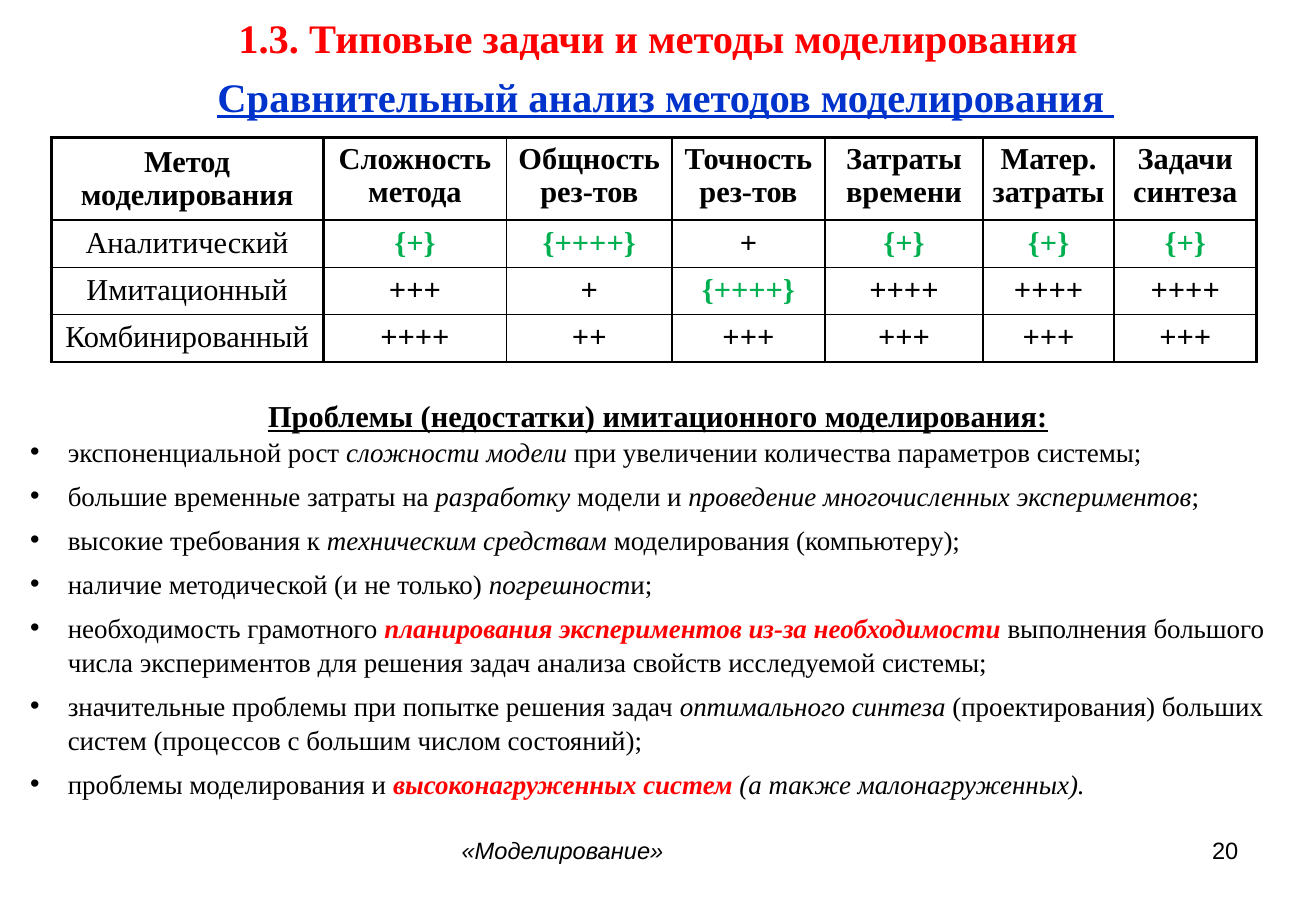
import pptx
import pptx.util
import pptx.dml.color
import pptx.enum.text
import pptx.oxml.ns
from lxml import etree
from dataclasses import dataclass

Inches = pptx.util.Inches
Pt = pptx.util.Pt
RGB = pptx.dml.color.RGBColor
Align = pptx.enum.text.PP_ALIGN
Anchor = pptx.enum.text.MSO_ANCHOR
qn = pptx.oxml.ns.qn


@dataclass(frozen=True)
class Theme:
    serif: str = "Times New Roman"
    sans: str = "Arial"
    black: str = "000000"
    red: str = "FF0000"
    blue: str = "0033CC"
    green: str = "00B050"
    title: int = 24
    head: int = 18
    body: int = 16
    foot: int = 14
    thin: int = 1
    thick: int = 2


theme = Theme()

# Run formats for the list
PLAIN = {}
ITAL = {"italic": True}
KEY = {"italic": True, "bold": True, "color": theme.red}

WIDTHS = [2.24, 1.51, 1.36, 1.26, 1.3, 1.08, 1.17]
HEIGHTS = [0.65, 0.38, 0.38, 0.38]
GRID = [
    ["Метод моделирования", "Сложность метода", "Общность рез-тов",
     "Точность рез-тов", "Затраты времени", "Матер. затраты", "Задачи синтеза"],
    ["Аналитический", "{+}", "{++++}", "+", "{+}", "{+}", "{+}"],
    ["Имитационный", "+++", "+", "{++++}", "++++", "++++", "++++"],
    ["Комбинированный", "++++", "++", "+++", "+++", "+++", "+++"],
]

ITEMS = [
    [("экспоненциальной рост ", PLAIN), ("сложности модели ", ITAL),
     ("при увеличении количества параметров системы;", PLAIN)],
    [("большие временн", PLAIN), ("ы", ITAL), ("е затраты на ", PLAIN),
     ("разработку", ITAL), (" модели и ", PLAIN),
     ("проведение многочисленных экспериментов", ITAL), (";", PLAIN)],
    [("высокие требования к ", PLAIN), ("техническим средствам ", ITAL),
     ("моделирования (компьютеру);", PLAIN)],
    [("наличие методической (и не только) ", PLAIN), ("погрешност", ITAL),
     ("и;", PLAIN)],
    [("необходимость грамотного ", PLAIN),
     ("планирования экспериментов из-за необходимости ", KEY),
     ("выполнения большого числа экспериментов для решения задач "
      "анализа свойств исследуемой системы;", PLAIN)],
    [("значительные проблемы при попытке решения задач ", PLAIN),
     ("оптимального синтеза ", ITAL),
     ("(проектирования) больших систем "
      "(процессов с большим числом состояний);", PLAIN)],
    [("проблемы моделирования и ", PLAIN), ("высоконагруженных систем", KEY),
     (" (а также малонагруженных).", ITAL)],
]


def add_run(para, text, size, color=theme.black, name=theme.serif, **style):
    run = para.add_run()
    run.text = text
    for key, value in {"name": name, "size": Pt(size), **style}.items():
        setattr(run.font, key, value)
    run.font.color.rgb = RGB.from_string(color)


def add_box(slide, left, top, width, height):
    box = slide.shapes.add_textbox(*map(Inches, (left, top, width, height)))
    box.text_frame.word_wrap = True
    return box.text_frame


def add_line(slide, place, text, size, align, **style):
    frame = add_box(slide, *place)
    para = frame.paragraphs[0]
    para.alignment = align
    add_run(para, text, size, **style)
    return frame


def add_item(frame, parts):
    para = frame.add_paragraph()
    props = para._p.get_or_add_pPr()
    props.set("marL", str(Inches(0.31)))
    props.set("indent", str(-Inches(0.31)))
    etree.SubElement(props, qn("a:buFont")).set("typeface", theme.sans)
    etree.SubElement(props, qn("a:buChar")).set("char", "•")
    para.space_after = Pt(6)
    para.line_spacing = 1.05
    for text, style in parts:
        add_run(para, text, theme.body, **style)


def add_edge(cell, side, width):
    edge = etree.SubElement(cell._tc.get_or_add_tcPr(), qn("a:ln" + side))
    edge.set("w", str(Pt(width)))
    fill = etree.SubElement(edge, qn("a:solidFill"))
    etree.SubElement(fill, qn("a:srgbClr")).set("val", theme.black)


def fill_cell(cell, text, row, col):
    # Heavy lines: outer frame and the side of the first column
    heavy = {"L": col < 2, "R": col in (0, len(WIDTHS) - 1),
             "T": row == 0, "B": row == len(HEIGHTS) - 1}
    for side, thick in heavy.items():
        add_edge(cell, side, theme.thick if thick else theme.thin)
    cell.fill.background()
    pad = 0.04 if row == 0 and col else 0.11
    form = {"margin_left": Inches(pad), "margin_right": Inches(pad),
            "margin_top": Inches(0.05 if row else 0.04),
            "margin_bottom": Inches(0.04),
            "vertical_anchor": Anchor.TOP if row or col else Anchor.MIDDLE}
    for key, value in form.items():
        setattr(cell, key, value)
    para = cell.text_frame.paragraphs[0]
    para.alignment = Align.CENTER
    color = theme.green if text.startswith("{") else theme.black
    add_run(para, text, theme.head, color, bold=row == 0 or col > 0)


def add_grid(slide):
    place = map(Inches, (0.42, 1.13, sum(WIDTHS), sum(HEIGHTS)))
    table = slide.shapes.add_table(len(GRID), len(WIDTHS), *place).table
    table.first_row = table.horz_banding = False
    for col, width in zip(table.columns, WIDTHS):
        col.width = Inches(width)
    for row, height in zip(table.rows, HEIGHTS):
        row.height = Inches(height)
    for row, texts in enumerate(GRID):
        for col, text in enumerate(texts):
            fill_cell(table.cell(row, col), text, row, col)


def main():
    deck = pptx.Presentation()
    deck.slide_width, deck.slide_height = Inches(10.83), Inches(7.5)
    slide = deck.slides.add_slide(deck.slide_layouts[6])

    # Titles
    add_line(slide, (0.21, 0.06, 10.41, 0.38),
             "1.3. Типовые задачи и методы моделирования",
             theme.title, Align.CENTER, color=theme.red, bold=True)
    add_line(slide, (0.36, 0.54, 10.24, 0.5),
             "Сравнительный анализ методов моделирования ",
             theme.title, Align.CENTER, color=theme.blue, bold=True,
             underline=True)

    # Table of methods
    add_grid(slide)

    # List of problems
    frame = add_line(slide, (0.15, 3.22, 10.53, 3.33),
                     "Проблемы (недостатки) имитационного моделирования:",
                     theme.head, Align.CENTER, bold=True, underline=True)
    for parts in ITEMS:
        add_item(frame, parts)

    # Footer
    add_line(slide, (3.7, 6.83, 3.43, 0.52), "«Моделирование»",
             theme.foot, Align.LEFT, name=theme.sans, italic=True)
    add_line(slide, (7.76, 6.83, 2.53, 0.52), "20",
             theme.foot, Align.RIGHT, name=theme.sans)

    deck.save("out.pptx")


if __name__ == "__main__":
    main()
